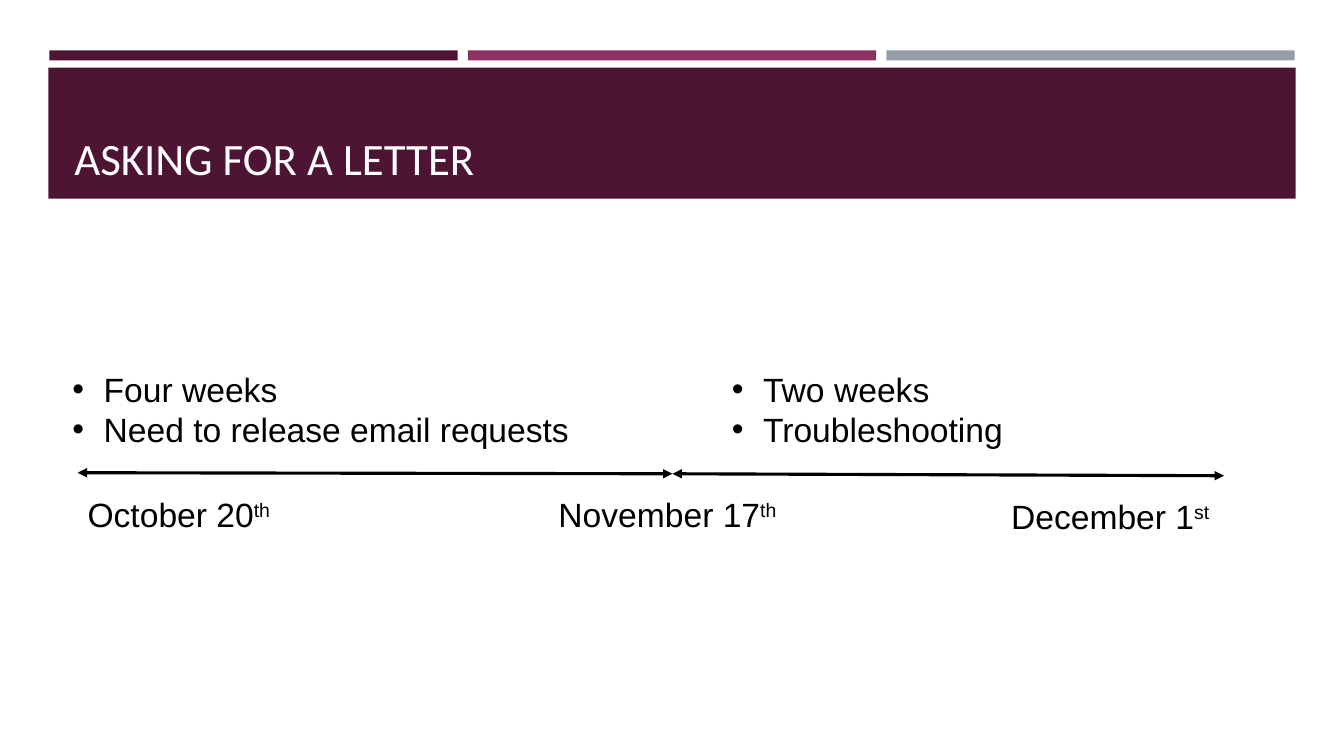
from dataclasses import dataclass

from lxml.etree import SubElement
from pptx import Presentation
from pptx.dml.color import RGBColor as RGB
from pptx.enum.shapes import MSO_CONNECTOR as CONN, MSO_SHAPE as SHAPE
from pptx.enum.text import MSO_ANCHOR as ANCHOR
from pptx.oxml.ns import qn
from pptx.util import Inches, Pt


@dataclass(frozen=True)
class Theme:
    plum: RGB = RGB(0x4D, 0x14, 0x34)
    magenta: RGB = RGB(0x90, 0x31, 0x63)
    gray: RGB = RGB(0x96, 0x9F, 0xA7)
    white: RGB = RGB(0xFF, 0xFF, 0xFF)
    black: RGB = RGB(0, 0, 0)
    title_font: str = "Calibri"
    body_font: str = "Arial"
    title_size: int = 32
    body_size: int = 24
    line_width: float = 2.25


theme = Theme()
prs = Presentation()
prs.slide_width, prs.slide_height = Inches(13.33), Inches(7.5)
s = prs.slides.add_slide(prs.slide_layouts[6])


def add_text(box, *lines, size=theme.body_size, font=theme.body_font,
             color=theme.black, anchor=ANCHOR.TOP, bullet=False, suffix=""):
    """Add one paragraph per line; suffix is set as superscript."""
    tf = s.shapes.add_textbox(*map(Inches, box)).text_frame
    tf.word_wrap = True
    tf.vertical_anchor = anchor
    for i, line in enumerate(lines):
        p = tf.paragraphs[0] if i == 0 else tf.add_paragraph()
        if bullet:
            pPr = p._p.get_or_add_pPr()
            pPr.set("marL", str(Inches(0.31)))
            pPr.set("indent", str(-Inches(0.31)))
            SubElement(pPr, qn("a:buFont"), typeface="Arial")
            SubElement(pPr, qn("a:buChar"), char="•")
        for text in filter(None, (line, suffix)):
            r = p.add_run()
            r.text = text
            r.font.size, r.font.name = Pt(size), font
            r.font.color.rgb = color
        if suffix:
            r._r.get_or_add_rPr().set("baseline", "30000")


# Header: three accent bars above the title band
bars = [(0.49 + 4.15 * i, 0.5, 4.05, 0.1, color)
        for i, color in enumerate((theme.plum, theme.magenta, theme.gray))]
for x, y, w, h, color in bars + [(0.48, 0.67, 12.37, 1.3, theme.plum)]:
    sp = s.shapes.add_shape(SHAPE.RECTANGLE, *map(Inches, (x, y, w, h)))
    sp.shadow.inherit = False
    sp.fill.solid()
    sp.fill.fore_color.rgb = color
    sp.line.fill.background()

add_text((0.64, 0.77, 12.06, 1.11), "ASKING FOR A LETTER", size=theme.title_size,
         font=theme.title_font, color=theme.white, anchor=ANCHOR.BOTTOM)

# Timeline: double-headed arrows between consecutive dates
stops = [(0.77, 4.69), (6.67, 4.7), (12.14, 4.72)]
for start, end in zip(stops, stops[1:]):
    arrow = s.shapes.add_connector(CONN.STRAIGHT, *map(Inches, start + end))
    arrow.line.color.rgb = theme.black
    arrow.line.width = Pt(theme.line_width)
    ln = arrow.line._get_or_add_ln()
    for tag in ("a:headEnd", "a:tailEnd"):
        SubElement(ln, qn(tag), type="triangle")
    SubElement(arrow._element.spPr, qn("a:effectLst"))

# Dates below the timeline
for x, y, w, date, ordinal in [(0.77, 4.85, 2.3, "October 20", "th"),
                               (5.44, 4.85, 2.46, "November 17", "th"),
                               (9.93, 4.87, 2.46, "December 1", "st")]:
    add_text((x, y, w, 0.5), date, suffix=ordinal)

# Notes on each period above the timeline
for x, w, notes in [(0.62, 5.55, ("Four weeks", "Need to release email requests")),
                    (7.16, 3.08, ("Two weeks", "Troubleshooting"))]:
    add_text((x, 3.61, w, 0.91), *notes, bullet=True)

prs.save("out.pptx")
